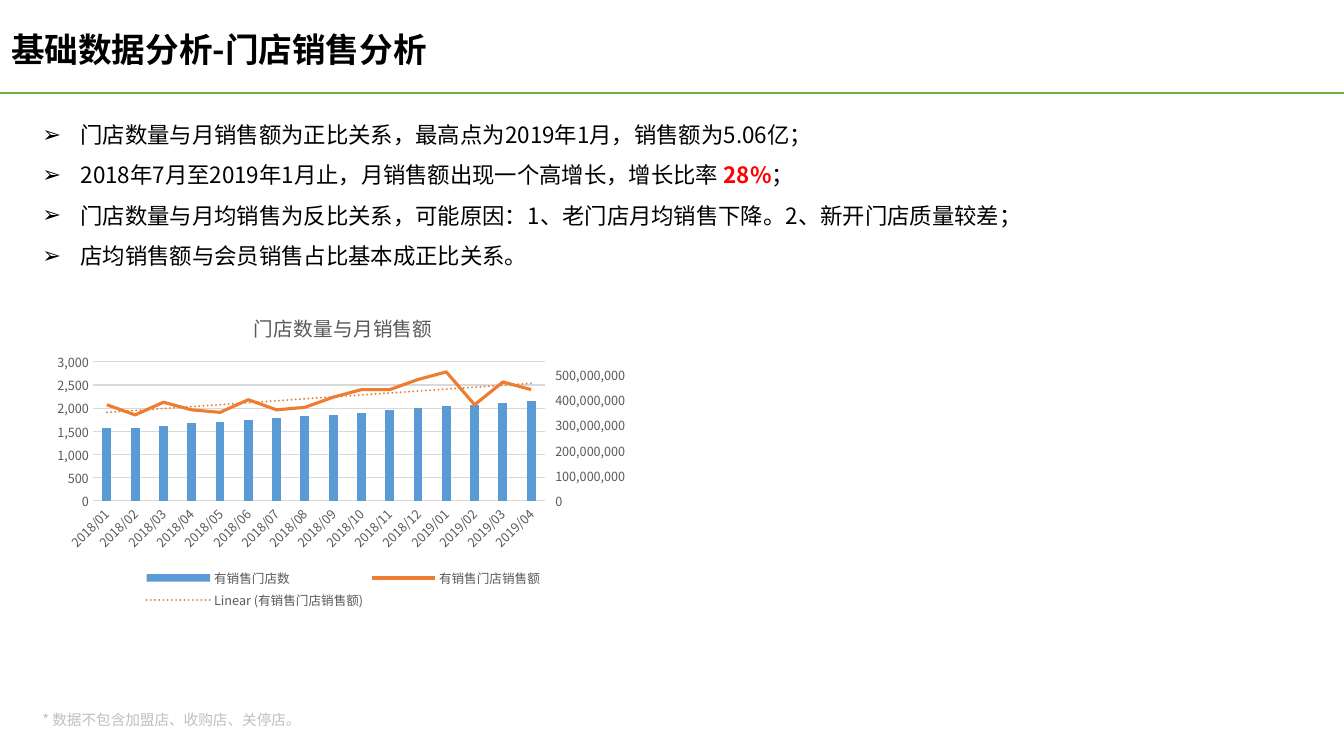
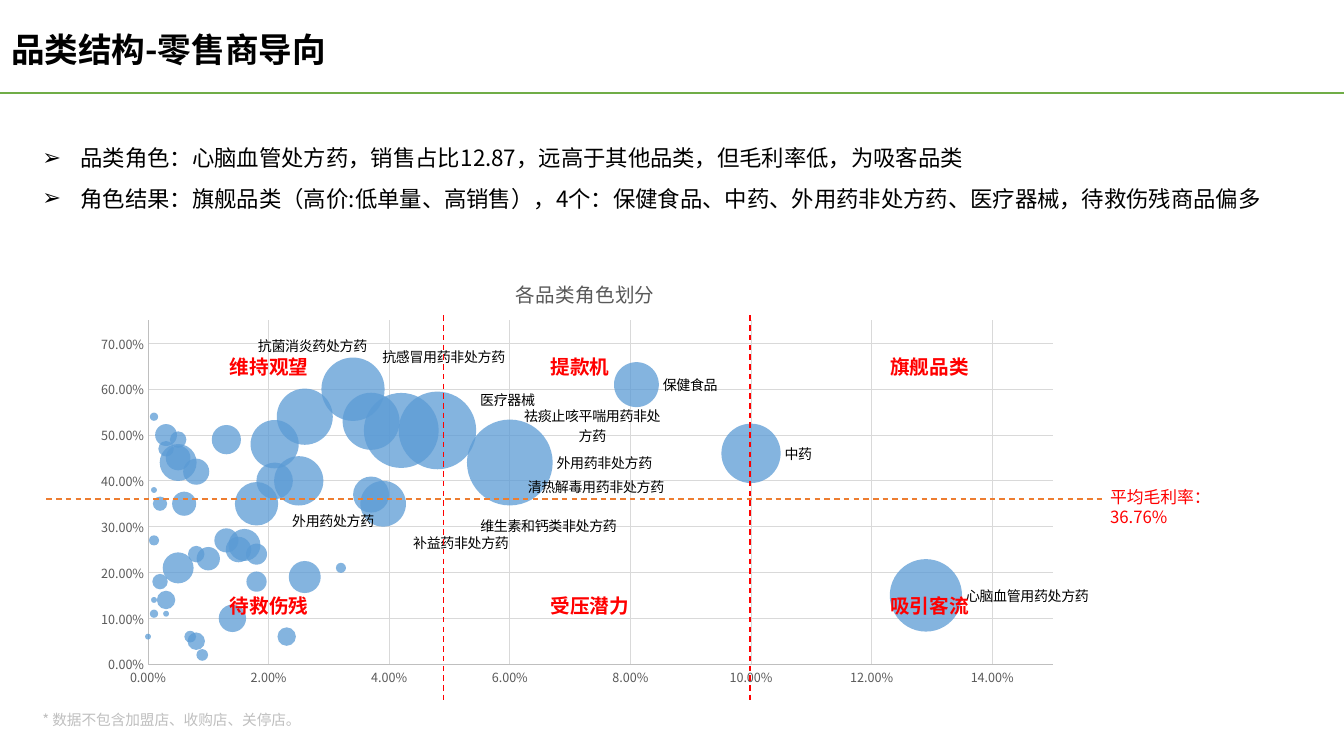
from dataclasses import dataclass

from lxml import etree
from pptx import Presentation
from pptx import util as u
from pptx.chart import axis as chart_axis
from pptx.chart import data as chart_data
from pptx.dml import color
from pptx.enum import chart as chart_enum
from pptx.enum import dml, shapes, text
from pptx.oxml import parse_xml
from pptx.oxml.ns import nsdecls, qn


@dataclass(frozen=True)
class Theme:
    font: str = "Noto Sans CJK SC"
    black: str = "000000"
    red: str = "FF0000"
    green: str = "70AD47"
    blue: str = "5B9BD5"
    orange: str = "ED7D31"
    axis_text: str = "595959"
    axis_line: str = "BFBFBF"
    grid: str = "D9D9D9"
    title: float = 24
    body: float = 16
    heading: float = 14
    note: float = 12
    footnote: float = 10.5
    label: float = 10
    tick: float = 9


THEME = Theme()
WIDTH, HEIGHT = 13.33, 7.5
TITLE_BOX = (0.11, 0.33, 6.29, 0.36)
RULE_Y = 0.92
TICKS = chart_enum.XL_TICK_MARK

MONTHS = [f"2018/{month:02}" for month in range(1, 13)] + [f"2019/{month:02}" for month in range(1, 5)]
STORES = [1570, 1580, 1620, 1670, 1700, 1740, 1780, 1820, 1860, 1900, 1950, 2010, 2050, 2060, 2110, 2160]
SALES_MILLIONS = [380, 340, 390, 360, 350, 400, 360, 370, 410, 440, 440, 480, 510, 380, 470, 440]

SHARES = [
    0.129, 0.1, 0.081, 0.06, 0.048, 0.042, 0.039, 0.037, 0.037, 0.034, 0.032, 0.026, 0.026, 0.025,
    0.023, 0.021, 0.021, 0.018, 0.018, 0.018, 0.016, 0.015, 0.014, 0.013, 0.013, 0.01, 0.009, 0.008,
    0.008, 0.008, 0.007, 0.006, 0.005, 0.005, 0.005, 0.005, 0.003, 0.003, 0.003, 0.003, 0.002, 0.002,
    0.001, 0.001, 0.001, 0.001, 0.001, 0, 0, 0, 0, 0, 0, 0, 0]
MARGINS = [
    0.15, 0.46, 0.61, 0.44, 0.51, 0.51, 0.35, 0.37, 0.53, 0.6, 0.21, 0.54, 0.19, 0.4, 0.06, 0.4, 0.48,
    0.24, 0.18, 0.35, 0.26, 0.25, 0.1, 0.27, 0.49, 0.23, 0.02, 0.42, 0.05, 0.24, 0.06, 0.35, 0.45,
    0.49, 0.21, 0.44, 0.11, 0.5, 0.47, 0.14, 0.18, 0.35, 0.38, 0.27, 0.54, 0.14, 0.11, 0.06, 0.09,
    0.43, 0.54, 0.04, 0.19, 0.66, 0.25]
SIZES_HUNDRED_THOUSANDS = [
    153, 103, 59, 215, 176, 164, 61, 38, 95, 117, 3, 92, 30, 71, 10, 39, 68, 13, 12, 55, 30, 19, 22,
    17, 25, 16, 4, 20, 9, 8, 4, 17, 18, 8, 28, 40, 1, 14, 7, 10, 7, 6, 1, 3, 2, 1, 2, 1,
    0, 0, 0, 0, 0, 0, 0]
CATEGORY_LABELS = {
    0: ("心脑血管用药处方药", 0, 0),
    1: ("中药", 0, 0),
    2: ("保健食品", 0, 0),
    3: ("外用药非处方药", 0, 0),
    4: ("医疗器械", 0, -0.07),
    5: ("抗感冒用药非处方药", -0.06, -0.17),
    6: ("维生素和钙类非处方药", 0.07, 0.05),
    7: ("补益药非处方药", 0.02, 0.11),
    8: ("祛痰止咳平喘用药非处方药", 0.12, 0.01),
    9: ("抗菌消炎药处方药", -0.13, -0.1),
    11: ("清热解毒用药非处方药", 0.19, 0.16),
    19: ("外用药处方药", 0.01, 0.04),
}


def inches(values):
    return [u.Inches(value) for value in values]


def rgb(value):
    return color.RGBColor.from_string(value)


def style_font(font, size, hue, bold=False):
    for name, value in {"name": THEME.font, "size": u.Pt(size), "bold": bold}.items():
        setattr(font, name, value)
    font.color.rgb = rgb(hue)
    etree.SubElement(font._rPr, qn("a:ea")).set("typeface", THEME.font)


def style_line(line, hue, width):
    line.color.rgb = rgb(hue)
    line.width = u.Pt(width)


def place(shape, box):
    for name, value in zip(("left", "top", "width", "height"), inches(box)):
        setattr(shape, name, value)


def set_frame(shape, anchor=text.MSO_ANCHOR.TOP):
    frame = shape.text_frame
    values = dict.fromkeys(("margin_left", "margin_top", "margin_right", "margin_bottom"), 0)
    values |= {"word_wrap": True, "auto_size": text.MSO_AUTO_SIZE.NONE, "vertical_anchor": anchor}
    for name, value in values.items():
        setattr(frame, name, value)
    return frame


def add_run(paragraph, content, size, hue, bold=False):
    run = paragraph.add_run()
    run.text = content
    style_font(run.font, size, hue, bold)


def add_label(slide, box, content, size, hue, bold=False, spacing=1.0):
    paragraph = set_frame(slide.shapes.add_textbox(*inches(box))).paragraphs[0]
    paragraph.line_spacing = spacing
    add_run(paragraph, content, size, hue, bold)


def add_line(slide, start, end, hue, width=1, dash=None):
    connector = slide.shapes.add_connector(shapes.MSO_CONNECTOR.STRAIGHT, *inches(start + end))
    style_line(connector.line, hue, width)
    if dash:
        connector.line.dash_style = dash
    etree.SubElement(connector._element.spPr, qn("a:effectLst"))
    return connector


def add_bullets(slide, box, items):
    body = slide.placeholders[1]
    place(body, box)
    frame = set_frame(body, text.MSO_ANCHOR.MIDDLE)
    for index, runs in enumerate(items):
        paragraph = frame.add_paragraph() if index else frame.paragraphs[0]
        properties = paragraph._p.get_or_add_pPr()
        indent = u.Inches(0.38)
        properties.set("marL", str(indent))
        properties.set("indent", str(-indent))
        etree.SubElement(properties, qn("a:buChar")).set("char", "➢")
        for name, value in {"line_spacing": 1.5, "space_before": u.Pt(0)}.items():
            setattr(paragraph, name, value)
        for content, hue, bold in runs:
            add_run(paragraph, content, THEME.body, hue, bold)


def plain(content):
    return [(content, THEME.black, False)]


def add_page(presentation, title):
    slide = presentation.slides.add_slide(presentation.slide_layouts[1])
    paragraph = set_frame(slide.shapes.title).paragraphs[0]
    for name, value in {"alignment": text.PP_ALIGN.LEFT, "line_spacing": 0.9}.items():
        setattr(paragraph, name, value)
    add_run(paragraph, title, THEME.title, THEME.black, True)
    add_label(slide, (0.42, 7.07, 2.8, 0.16), "* 数据不包含加盟店、收购店、关停店。",
              THEME.footnote, THEME.axis_line, spacing=0.9)
    return slide


def share_rule(presentation, slide):
    layout = presentation.slide_layouts[1]
    rule = add_line(slide, (0, RULE_Y), (WIDTH, RULE_Y), THEME.green, 1.5)
    layout.shapes._spTree.append(rule._element)


def manual_layout(x, y, extra=""):
    return parse_xml(f'<c:layout {nsdecls("c")}><c:manualLayout>{extra}'
                     f'<c:x val="{x:.4f}"/><c:y val="{y:.4f}"/></c:manualLayout></c:layout>')


def set_plot_area(chart, box, plot_box):
    left, top, width, height = box
    plot_left, plot_top, plot_width, plot_height = plot_box
    modes = '<c:layoutTarget val="inner"/><c:xMode val="edge"/><c:yMode val="edge"/>'
    layout = manual_layout((plot_left - left) / width, (plot_top - top) / height, modes)
    for name, value in (("w", plot_width / width), ("h", plot_height / height)):
        etree.SubElement(layout[0], qn(f"c:{name}")).set("val", f"{value:.4f}")
    area = chart._chartSpace.chart.plotArea
    for old in area.findall(qn("c:layout")):
        area.remove(old)
    area.insert(0, layout)


def format_axis(axis, line=None, grid=False, number_format=None, tick=TICKS.NONE, **scale):
    for name, value in {"major_tick_mark": tick, "has_major_gridlines": grid, **scale}.items():
        setattr(axis, name, value)
    style_font(axis.tick_labels.font, THEME.tick, THEME.axis_text)
    if number_format:
        axis.tick_labels.number_format = number_format
        axis.tick_labels.number_format_is_linked = False
    if line:
        style_line(axis.format.line, line, 0.75)
    else:
        axis.format.line.fill.background()
    if grid:
        style_line(axis.major_gridlines.format.line, THEME.grid, 0.75)


def add_chart(slide, kind, box, plot_box, data, title):
    chart = slide.shapes.add_chart(kind, *inches(box), data).chart
    style_font(chart.font, THEME.label, THEME.black)
    chart.has_title = True
    add_run(chart.chart_title.text_frame.paragraphs[0], title, THEME.heading, THEME.axis_text)
    chart.has_legend = False
    set_plot_area(chart, box, plot_box)
    return chart


def move_to_right_axis(chart, series):
    element = series._element
    for child in element.findall(qn("c:invertIfNegative")):
        element.remove(child)
    area = chart._chartSpace.chart.plotArea
    line_chart = parse_xml(
        f'<c:lineChart {nsdecls("c")}><c:grouping val="standard"/><c:varyColors val="0"/>'
        '<c:marker val="1"/><c:axId val="501"/><c:axId val="502"/></c:lineChart>')
    line_chart.insert(2, element)
    area.find(qn("c:barChart")).addnext(line_chart)
    scaling = '<c:scaling><c:orientation val="minMax"/></c:scaling>'
    hidden = parse_xml(
        f'<c:catAx {nsdecls("c")}><c:axId val="501"/>{scaling}<c:delete val="1"/>'
        '<c:axPos val="b"/><c:crossAx val="502"/><c:crosses val="autoZero"/></c:catAx>')
    right = parse_xml(
        f'<c:valAx {nsdecls("c")}><c:axId val="502"/>{scaling}<c:delete val="0"/>'
        '<c:axPos val="r"/><c:tickLblPos val="nextTo"/><c:crossAx val="501"/>'
        '<c:crosses val="max"/><c:crossBetween val="between"/></c:valAx>')
    area.findall(qn("c:valAx"))[-1].addnext(hidden)
    hidden.addnext(right)
    return chart.plots[1].series[0], chart_axis.ValueAxis(right)


def add_trend(series):
    trend = parse_xml(
        f'<c:trendline {nsdecls("c", "a")}><c:spPr><a:ln w="{u.Pt(1.5)}" cap="rnd"><a:solidFill>'
        f'<a:srgbClr val="{THEME.orange}"/></a:solidFill><a:prstDash val="sysDot"/></a:ln></c:spPr>'
        '<c:trendlineType val="linear"/><c:dispRSqr val="0"/><c:dispEq val="0"/></c:trendline>')
    series._element.find(qn("c:cat")).addprevious(trend)


def add_store_chart(slide):
    data = chart_data.CategoryChartData(number_format="#,##0")
    data.categories = MONTHS
    data.add_series("有销售门店数", STORES)
    data.add_series("有销售门店销售额", [value * 1_000_000 for value in SALES_MILLIONS])
    chart = add_chart(slide, chart_enum.XL_CHART_TYPE.COLUMN_CLUSTERED, (0.45, 2.93, 5.91, 3.15),
                      (0.92, 3.59, 4.49, 1.38), data, "门店数量与月销售额")
    bars, left_axis = chart.plots[0], chart.value_axis
    for name, value in {"gap_width": 219, "overlap": -27, "vary_by_categories": False}.items():
        setattr(bars, name, value)
    stores, sales = bars.series
    stores.format.fill.solid()
    stores.format.fill.fore_color.rgb = rgb(THEME.blue)
    sales, right_axis = move_to_right_axis(chart, sales)
    style_line(sales.format.line, THEME.orange, 2.25)
    sales.marker.style = chart_enum.XL_MARKER_STYLE.NONE
    sales.smooth = False
    add_trend(sales)
    format_axis(chart.category_axis, THEME.grid)
    chart.category_axis._element.find(qn("c:txPr")).find(qn("a:bodyPr")).set("rot", "-2700000")
    format_axis(left_axis, None, True, "#,##0", minimum_scale=0, maximum_scale=3000, major_unit=500)
    format_axis(right_axis, None, False, "#,##0", TICKS.OUTSIDE,
                minimum_scale=0, maximum_scale=550_000_000, major_unit=100_000_000)
    chart.has_legend = True
    chart.legend.position = chart_enum.XL_LEGEND_POSITION.BOTTOM
    chart.legend.include_in_layout = False
    style_font(chart.legend.font, THEME.tick, THEME.axis_text)


def label_points(series):
    for index, (content, x, y) in CATEGORY_LABELS.items():
        label = series.points[index].data_label
        add_run(label.text_frame.paragraphs[0], content, THEME.label, THEME.black)
        label.position = chart_enum.XL_LABEL_POSITION.RIGHT
        if x or y:
            element = series._element.xpath(f'c:dLbls/c:dLbl[c:idx/@val="{index}"]')[0]
            element.find(qn("c:idx")).addnext(manual_layout(x, y))
    for flag in series._element.xpath("c:dLbls/c:showVal | c:dLbls/c:showLeaderLines"):
        flag.set("val", "0")


def add_role_chart(slide):
    data = chart_data.BubbleChartData()
    points = data.add_series("Series 1")
    for share, margin, size in zip(SHARES, MARGINS, SIZES_HUNDRED_THOUSANDS):
        points.add_data_point(share, margin, size * 100_000)
    chart = add_chart(slide, chart_enum.XL_CHART_TYPE.BUBBLE, (0.82, 2.57, 10, 4.33),
                      (1.47, 3.18, 9, 3.41), data, "各品类角色划分")
    series = chart.plots[0].series[0]
    series.format.fill.solid()
    series.format.fill.fore_color.rgb = rgb(THEME.blue)
    series.format.line.fill.background()
    fill = series._element.xpath("c:spPr/a:solidFill/a:srgbClr")[0]
    etree.SubElement(fill, qn("a:alpha")).set("val", "75000")
    label_points(series)
    for axis, maximum, step in ((chart.category_axis, 0.15, 0.02), (chart.value_axis, 0.75, 0.1)):
        format_axis(axis, THEME.axis_line, True, "0.00%",
                    minimum_scale=0, maximum_scale=maximum, major_unit=step)


def add_quadrants(slide):
    dash = dml.MSO_LINE.DASH
    for x in (4.4, 7.44):
        add_line(slide, (x, 3.13), (x, 6.94), THEME.red, dash=dash)
    add_line(slide, (0.46, 4.95), (10.93, 4.95), THEME.orange, dash=dash)
    add_label(slide, (11.01, 4.83, 1.2, 0.4), "平均毛利率：36.76%", THEME.note, THEME.red)
    rows = {3.52: ("维持观望", "提款机", "旗舰品类"), 5.89: ("待救伤残", "受压潜力", "吸引客流")}
    for top, roles in rows.items():
        for left, role in zip((2.28, 5.46, 8.83), roles):
            add_label(slide, (left, top, 0.9, 0.24), role, THEME.heading, THEME.red, True)


def main():
    presentation = Presentation()
    presentation.slide_width, presentation.slide_height = inches((WIDTH, HEIGHT))
    place(presentation.slide_layouts[1].placeholders[0], TITLE_BOX)

    stores = add_page(presentation, "基础数据分析-门店销售分析")
    share_rule(presentation, stores)
    add_store_chart(stores)
    add_bullets(stores, (0.42, 1.06, 12.47, 1.62), [
        plain("门店数量与月销售额为正比关系，最高点为2019年1月，销售额为5.06亿；"),
        plain("2018年7月至2019年1月止，月销售额出现一个高增长，增长比率 ")
        + [("28%", THEME.red, True)] + plain("；"),
        plain("门店数量与月均销售为反比关系，可能原因：1、老门店月均销售下降。2、新开门店质量较差；"),
        plain("店均销售额与会员销售占比基本成正比关系。"),
    ])

    roles = add_page(presentation, "品类结构-零售商导向")
    add_role_chart(roles)
    add_quadrants(roles)
    add_bullets(roles, (0.42, 1.32, 12.47, 0.76), [
        plain("品类角色：心脑血管处方药，销售占比12.87，远高于其他品类，但毛利率低，为吸客品类"),
        plain("角色结果：旗舰品类（高价:低单量、高销售），4个：保健食品、中药、外用药非处方药、医疗器械，待救伤残商品偏多"),
    ])
    presentation.save("out.pptx")


if __name__ == "__main__":
    main()
